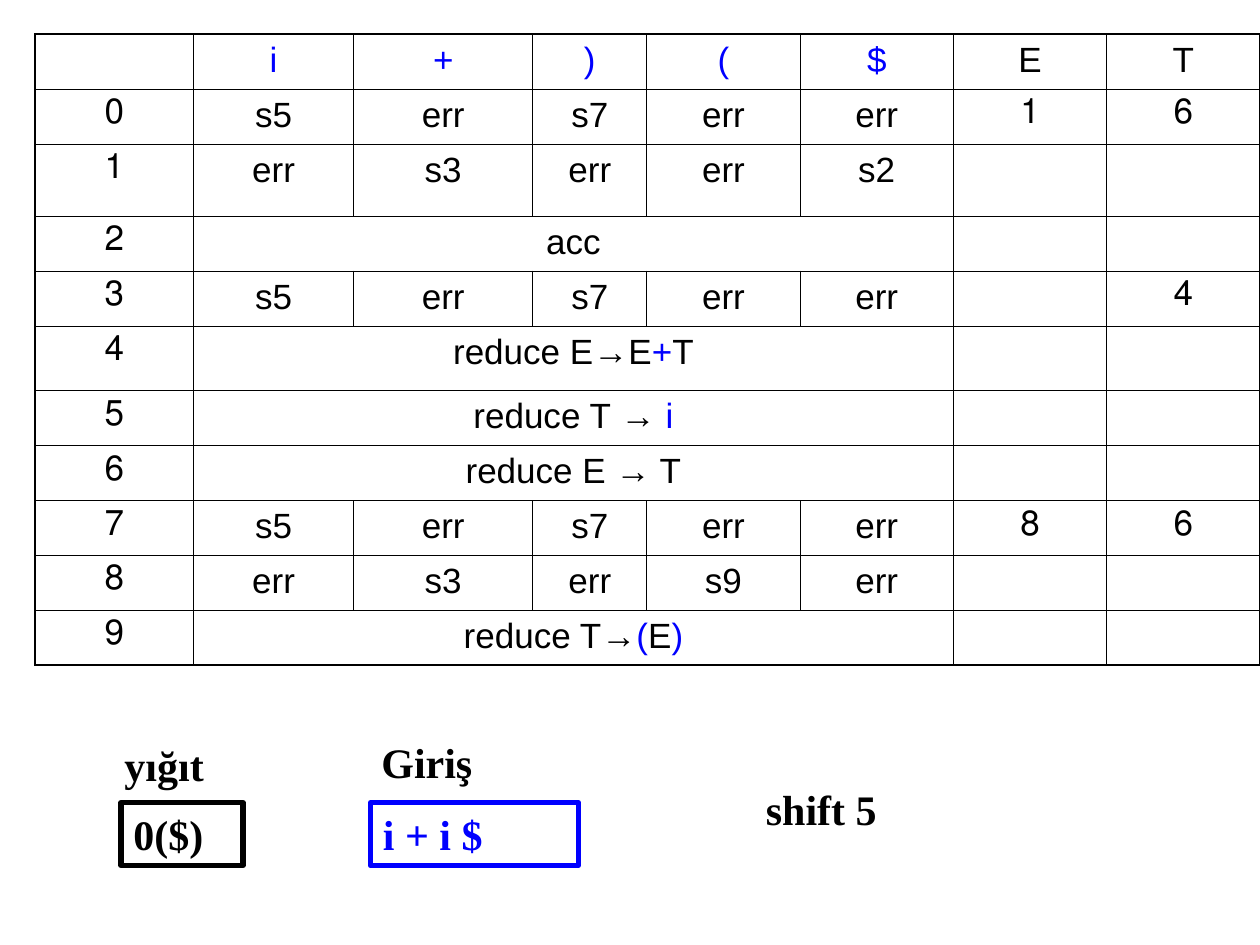
from lxml.etree import SubElement
from pptx import Presentation
from pptx.dml.color import RGBColor
from pptx.enum.shapes import MSO_SHAPE as Shape
from pptx.enum.text import MSO_ANCHOR as Anchor, MSO_AUTO_SIZE as AutoSize, PP_ALIGN as Align
from pptx.oxml.ns import qn
from pptx.util import Cm, Pt

BLACK = "000000"
BLUE = "0000FF"
COLUMN_WIDTHS = [3.19, 3.23, 3.61, 2.3, 3.09, 3.09, 3.09, 3.09]
ROW_HEIGHT = 1.1
TALL_ROWS = {2: 1.45, 5: 1.3}
FIRST_ACTION, LAST_ACTION = 1, 5
TERMINALS = ["i", "+", ")", "(", "$"]
NONTERMINALS = ["E", "T"]
SHIFT_ROW = ["s5", "err", "s7", "err", "err"]
STATES = [
    (SHIFT_ROW, "1", "6"),
    (["err", "s3", "err", "err", "s2"], "", ""),
    ([("acc", BLACK)], "", ""),
    (SHIFT_ROW, "", "4"),
    ([("reduce E→E", BLACK), ("+", BLUE), ("T", BLACK)], "", ""),
    ([("reduce T →", BLACK), (" i", BLUE)], "", ""),
    ([("reduce E → T", BLACK)], "", ""),
    (SHIFT_ROW, "8", "6"),
    (["err", "s3", "err", "s9", "err"], "", ""),
    ([("reduce T→", BLACK), ("(", BLUE), ("E", BLACK), (")", BLUE)], "", ""),
]


def color(value):
    return RGBColor.from_string(value)


def add_run(paragraph, text, font, size, ink, bold=False):
    run = paragraph.add_run()
    run.text = text
    run.font.name = font
    run.font.size = Pt(size)
    run.font.bold = bold
    run.font.color.rgb = color(ink)


def fill_cell(cell, parts, right_to_left=True):
    paragraph = cell.text_frame.paragraphs[0]
    paragraph.alignment = Align.CENTER
    if right_to_left:
        paragraph._p.get_or_add_pPr().set("rtl", "1")
    for text, ink in parts:
        add_run(paragraph, text, "Arial", 20, ink)


def style_cell(cell, outer_sides):
    cell.margin_left = cell.margin_right = Cm(0.25)
    cell.margin_top = cell.margin_bottom = Cm(0.13)
    cell.vertical_anchor = Anchor.TOP
    properties = cell._tc.get_or_add_tcPr()
    for side in ("L", "R", "T", "B"):
        width = Pt(1.08 if side in outer_sides else 0.45)
        border = SubElement(properties, qn(f"a:ln{side}"), w=str(width))
        solid = SubElement(border, qn("a:solidFill"))
        SubElement(solid, qn("a:srgbClr"), val=BLACK)
    cell.fill.background()


def add_parsing_table(slide):
    row_count, column_count = len(STATES) + 1, len(COLUMN_WIDTHS)
    heights = [TALL_ROWS.get(row, ROW_HEIGHT) for row in range(row_count)]
    table = slide.shapes.add_table(
        row_count, column_count, Cm(0.71), Cm(0.69),
        Cm(sum(COLUMN_WIDTHS)), Cm(sum(heights))).table
    table.first_row = table.horz_banding = False
    for column, width in zip(table.columns, COLUMN_WIDTHS):
        column.width = Cm(width)
    for row, height in zip(table.rows, heights):
        row.height = Cm(height)

    for row in range(row_count):
        for column in range(column_count):
            edges = {"L": column == 0, "R": column == column_count - 1,
                     "T": row == 0, "B": row == row_count - 1}
            style_cell(table.cell(row, column), [side for side in edges if edges[side]])

    header = [(text, BLUE) for text in TERMINALS] + [(text, BLACK) for text in NONTERMINALS]
    for column, part in enumerate(header, FIRST_ACTION):
        fill_cell(table.cell(0, column), [part], right_to_left=False)
    for state, (actions, *gotos) in enumerate(STATES):
        row = state + 1
        fill_cell(table.cell(row, 0), [(str(state), BLACK)])
        if isinstance(actions[0], tuple):
            merged = table.cell(row, FIRST_ACTION)
            merged.merge(table.cell(row, LAST_ACTION))
            fill_cell(merged, actions)
        else:
            for column, action in enumerate(actions, FIRST_ACTION):
                fill_cell(table.cell(row, column), [(action, BLACK)])
        for column, goto in enumerate(gotos, LAST_ACTION + 1):
            if goto:
                fill_cell(table.cell(row, column), [(goto, BLACK)])


def write_bold(holder, text, ink):
    frame = holder.text_frame
    frame.word_wrap = True
    frame.auto_size = AutoSize.SHAPE_TO_FIT_TEXT
    frame.vertical_anchor = Anchor.TOP
    paragraph = frame.paragraphs[0]
    paragraph.alignment = Align.LEFT
    add_run(paragraph, text, "Times New Roman", 24, ink, bold=True)


def add_label(slide, text, left, top, width):
    label = slide.shapes.add_textbox(Cm(left), Cm(top), Cm(width), Cm(1.27))
    write_bold(label, text, BLACK)


def add_framed_value(slide, text, left, width, ink):
    value = slide.shapes.add_shape(
        Shape.RECTANGLE, Cm(left), Cm(16.18), Cm(width), Cm(1.27))
    value.shadow.inherit = False
    value.fill.background()
    value.line.color.rgb = color(ink)
    value.line.width = Pt(3)
    write_bold(value, text, ink)


def main():
    presentation = Presentation()
    presentation.slide_width, presentation.slide_height = Cm(25.4), Cm(19.05)
    slide = presentation.slides.add_slide(presentation.slide_layouts[6])
    add_framed_value(slide, "i + i $", 7.47, 4.19, BLUE)
    add_label(slide, "Giriş", 7.44, 14.73, 5.03)
    add_framed_value(slide, "0($)", 2.44, 2.46, BLACK)
    add_label(slide, "shift 5", 15.19, 15.67, 3.25)
    add_label(slide, "yığıt", 2.26, 14.78, 3.3)
    add_parsing_table(slide)
    presentation.save("out.pptx")


if __name__ == "__main__":
    main()
